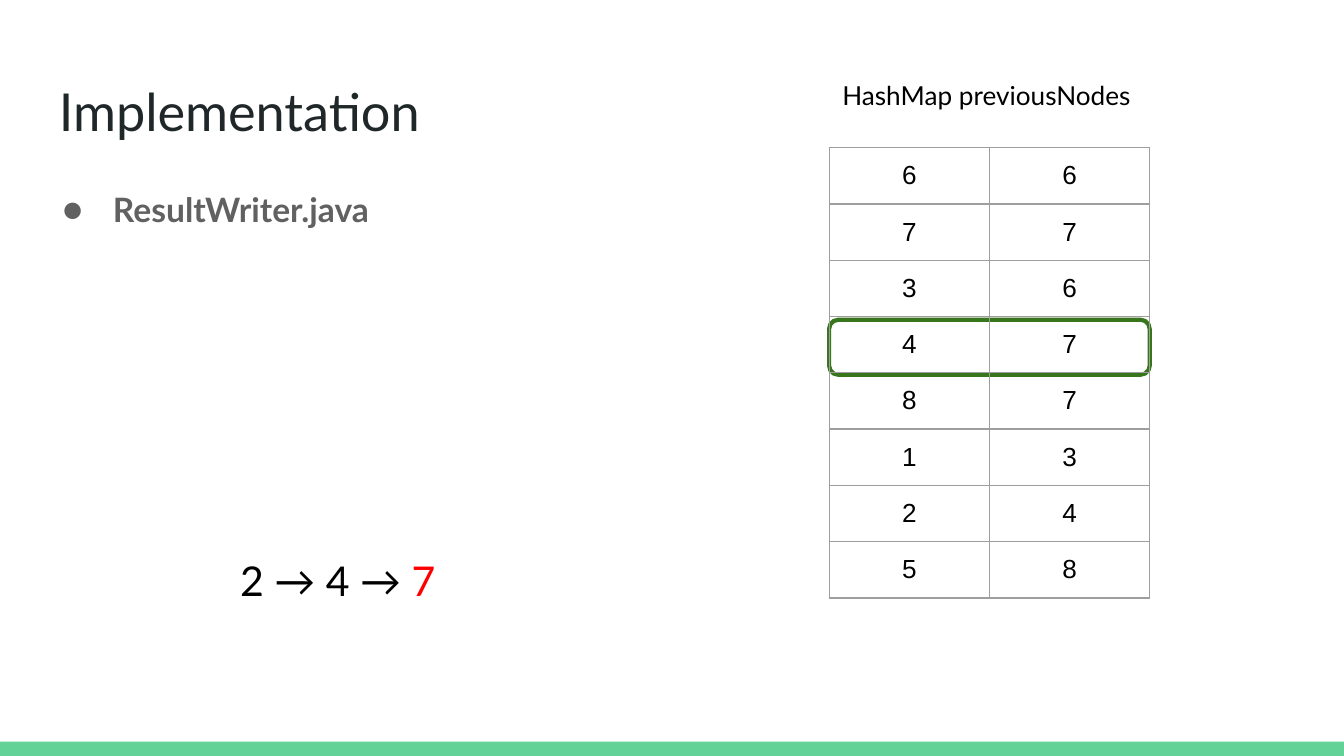
import pptx
import pptx.dml.color
import pptx.enum.shapes
import pptx.enum.text
import pptx.oxml
import pptx.oxml.ns
import pptx.util
import lxml.etree
from pptx.util import Cm

TITLE = "Implementation"
FILES = ["ResultWriter.java"]
MAP_NAME = "HashMap previousNodes"
PREVIOUS_NODES = [(6, 6), (7, 7), (3, 6), (4, 7), (8, 7), (1, 3), (2, 4), (5, 8)]
ROUTE = [("2 → 4 → ", "route"), ("7", "found")]

THEME = {
    "font": "Lato",
    "cell_font": "Arial",
    "title": "202729",
    "bullet": "616161",
    "map": "000000",
    "route": "000000",
    "found": "FF0000",
    "band": "63D297",
    "highlight": "38761D",
    "grid": "9E9E9E",
    "title_size": 28,
    "bullet_size": 18,
    "route_size": 22,
    "map_size": 14,
    "highlight_width": 2.25,
    "grid_width": 0.75,
}

SLIDE_WIDTH, SLIDE_HEIGHT = 25.4, 14.29
BAND_HEIGHT = 0.27
INSET = 0.254
MAP_LEFT, MAP_TOP = 15.67, 2.79
COLUMN_WIDTH, ROW_HEIGHT = 3.03, 1.04
HIGHLIGHT_OFFSET = 3.13


def rgb(name):
    return pptx.dml.color.RGBColor.from_string(THEME[name])


def write(frame, paragraphs, size, font=THEME["font"], bold=False,
          align=pptx.enum.text.PP_ALIGN.LEFT, spacing=1.0, bullet=None):
    frame.word_wrap = True
    frame.vertical_anchor = pptx.enum.text.MSO_ANCHOR.TOP
    frame.margin_left = frame.margin_right = Cm(INSET)
    frame.margin_top = frame.margin_bottom = Cm(INSET)
    for index, runs in enumerate(paragraphs):
        paragraph = frame.add_paragraph() if index else frame.paragraphs[0]
        paragraph.alignment = align
        paragraph.line_spacing = spacing
        paragraph.space_before = pptx.util.Pt(0)
        if bullet:
            add_bullet(paragraph, bullet)
        for text, color in runs:
            run = paragraph.add_run()
            run.text = text
            run.font.name = font
            run.font.size = pptx.util.Pt(THEME[size])
            run.font.bold = bold
            run.font.color.rgb = rgb(color)


def add_bullet(paragraph, mark):
    properties = paragraph._p.get_or_add_pPr()
    properties.set("marL", str(Cm(1.27)))
    properties.set("indent", str(Cm(-0.95)))
    color = lxml.etree.SubElement(properties, pptx.oxml.ns.qn("a:buClr"))
    lxml.etree.SubElement(color, pptx.oxml.ns.qn("a:srgbClr"), val=THEME["bullet"])
    lxml.etree.SubElement(properties, pptx.oxml.ns.qn("a:buFont"), typeface=THEME["font"])
    lxml.etree.SubElement(properties, pptx.oxml.ns.qn("a:buChar"), char=mark)


def add_borders(cell):
    properties = cell._tc.get_or_add_tcPr()
    for side in ("lnL", "lnR", "lnT", "lnB"):
        line = lxml.etree.SubElement(properties, pptx.oxml.ns.qn("a:" + side),
                                     w=str(pptx.util.Pt(THEME["grid_width"])))
        fill = lxml.etree.SubElement(line, pptx.oxml.ns.qn("a:solidFill"))
        lxml.etree.SubElement(fill, pptx.oxml.ns.qn("a:srgbClr"), val=THEME["grid"])


def place(shape, left, top, width, height):
    shape.left, shape.top = Cm(left), Cm(top)
    shape.width, shape.height = Cm(width), Cm(height)
    shape.text_frame.auto_size = pptx.enum.text.MSO_AUTO_SIZE.NONE
    return shape.text_frame


def add_map(slide):
    columns = len(PREVIOUS_NODES[0])
    frame = slide.shapes.add_table(
        len(PREVIOUS_NODES), columns, Cm(MAP_LEFT), Cm(MAP_TOP),
        Cm(COLUMN_WIDTH * columns), Cm(ROW_HEIGHT * len(PREVIOUS_NODES)))
    nodes = frame.table
    nodes.first_row = nodes.horz_banding = False
    for row, pair in enumerate(PREVIOUS_NODES):
        for column, node in enumerate(pair):
            cell = nodes.cell(row, column)
            write(cell.text_frame, [[(str(node), "map")]], "map_size",
                  font=THEME["cell_font"], align=pptx.enum.text.PP_ALIGN.CENTER)
            cell.margin_left = cell.margin_right = Cm(INSET)
            cell.margin_top = cell.margin_bottom = Cm(INSET)
            add_borders(cell)
            cell.fill.background()


def main():
    deck = pptx.Presentation()
    deck.slide_width, deck.slide_height = Cm(SLIDE_WIDTH), Cm(SLIDE_HEIGHT)
    slide = deck.slides.add_slide(deck.slide_layouts[1])
    shapes = slide.shapes
    kinds = pptx.enum.shapes.MSO_SHAPE

    band = shapes.add_shape(kinds.RECTANGLE, 0, Cm(SLIDE_HEIGHT - BAND_HEIGHT),
                            Cm(SLIDE_WIDTH), Cm(BAND_HEIGHT))
    band.shadow.inherit = False
    band.fill.solid()
    band.fill.fore_color.rgb = rgb("band")
    band.line.fill.background()

    title = place(shapes.title, 0.86, 1.24, 7.6, 1.6)
    write(title, [[(TITLE, "title")]], "title_size")

    files = place(slide.placeholders[1], 0.61, 3.2, 14.02, 1.12)
    write(files, [[(name, "bullet")] for name in FILES], "bullet_size",
          bold=True, spacing=1.15, bullet="●")

    map_name = place(shapes.add_textbox(0, 0, 0, 0), MAP_LEFT, 1.24, 7.77, 1.27)
    write(map_name, [[(MAP_NAME, "map")]], "map_size")

    highlight = shapes.add_shape(
        kinds.ROUNDED_RECTANGLE, Cm(MAP_LEFT),
        Cm(MAP_TOP + HIGHLIGHT_OFFSET * ROW_HEIGHT),
        Cm(COLUMN_WIDTH * 2), Cm(ROW_HEIGHT))
    highlight.shadow.inherit = False
    highlight.fill.background()
    highlight.line.color.rgb = rgb("highlight")
    highlight.line.width = pptx.util.Pt(THEME["highlight_width"])

    add_map(slide)

    route = place(shapes.add_textbox(0, 0, 0, 0), 4.29, 10.24, 9.65, 1.27)
    write(route, [ROUTE], "route_size")

    deck.save("out.pptx")


if __name__ == "__main__":
    main()
